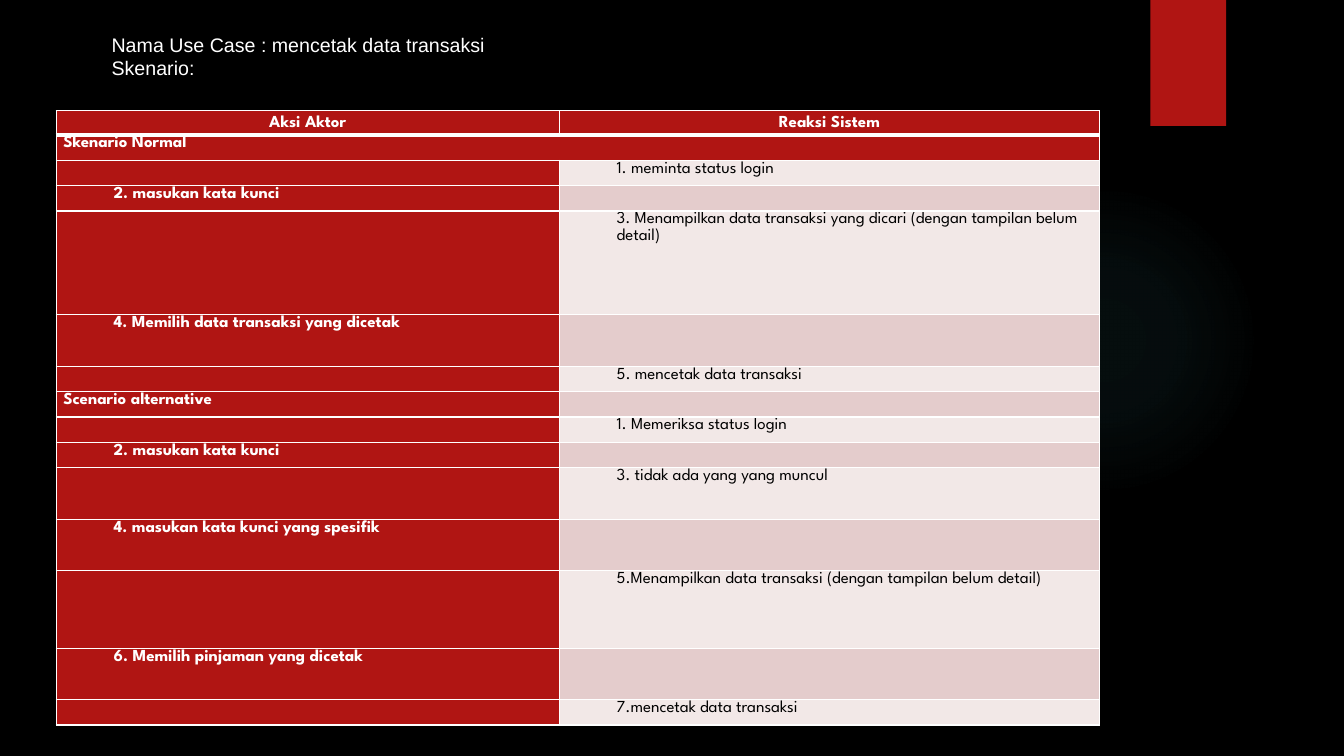
from dataclasses import dataclass

from lxml.etree import SubElement
from pptx import Presentation
from pptx.dml.color import RGBColor
from pptx.enum.shapes import MSO_SHAPE
from pptx.enum.text import MSO_ANCHOR, PP_ALIGN
from pptx.oxml import parse_xml
from pptx.oxml.ns import nsdecls, qn
from pptx.util import Pt


@dataclass(frozen=True)
class Theme:
    background: str = "000000"
    accent: str = "B01513"
    glow: str = "50B9C1"
    light: str = "FFFFFF"
    dark: str = "000000"
    band_odd: str = "E4CCCC"
    band_even: str = "F2E8E7"
    title_font: str = "Arial"
    table_font: str = "League Spartan"
    title_size: int = 14
    table_size: int = 12


def rgb(value):
    return RGBColor.from_string(value)


def apply(target, values):
    for name, value in values.items():
        setattr(target, name, value)


class UseCaseSlide:
    def __init__(self, deck, theme):
        self.theme = theme
        self.slide = deck.slides.add_slide(deck.slide_layouts[5])
        fill = self.slide.background.fill
        fill.solid()
        fill.fore_color.rgb = rgb(theme.background)

    def style_font(self, font, color, **values):
        apply(font, values)
        font.color.rgb = rgb(color)

    def title(self, text, left, top, width, height):
        heading = self.slide.shapes.title
        apply(heading, dict(left=Pt(left), top=Pt(top), width=Pt(width), height=Pt(height)))
        frame = heading.text_frame
        apply(frame, dict(text=text, word_wrap=False, vertical_anchor=MSO_ANCHOR.TOP))
        line = frame.paragraphs[0]
        line.alignment = PP_ALIGN.LEFT
        for run in line.runs:
            self.style_font(run.font, self.theme.light, name=self.theme.title_font,
                            size=Pt(self.theme.title_size), bold=False)

    def shape(self, kind, left, top, width, height, color):
        item = self.slide.shapes.add_shape(kind, Pt(left), Pt(top), Pt(width), Pt(height))
        item.shadow.inherit = False
        item.fill.solid()
        item.fill.fore_color.rgb = rgb(color)
        item.line.fill.background()
        return item

    def glow(self, left, top, size, stops):
        circle = self.shape(MSO_SHAPE.OVAL, left, top, size, size, self.theme.glow)
        marks = "".join(
            f'<a:gs pos="{pos * 1000}"><a:srgbClr val="{self.theme.glow}">'
            f'<a:alpha val="{alpha * 1000}"/></a:srgbClr></a:gs>' for pos, alpha in stops)
        gradient = parse_xml(
            f'<a:gradFill {nsdecls("a")} rotWithShape="1"><a:gsLst>{marks}</a:gsLst>'
            '<a:path path="circle"><a:fillToRect l="50000" t="50000" r="50000" b="50000"/>'
            '</a:path></a:gradFill>')
        properties = circle.fill._xPr
        properties.replace(properties.find(qn("a:solidFill")), gradient)

    def borders(self, cell, **widths):
        properties = cell._tc.get_or_add_tcPr()
        for place, side in enumerate("LRTB"):
            properties.insert(place, parse_xml(
                f'<a:ln{side} {nsdecls("a")} w="{Pt(widths.get(side, 1))}"><a:solidFill>'
                f'<a:srgbClr val="{self.theme.light}"/></a:solidFill></a:ln{side}>'))

    def cell(self, cell, text, fill, color, bold, indent=0, header=False):
        apply(cell, dict(margin_left=Pt(5), margin_right=Pt(5), margin_top=0, margin_bottom=0))
        cell.fill.solid()
        cell.fill.fore_color.rgb = rgb(fill)
        line = cell.text_frame.paragraphs[0]
        apply(line, dict(alignment=PP_ALIGN.CENTER if header else PP_ALIGN.LEFT,
                         line_spacing=Pt(14.7) if header else 1.07))
        if text:
            line._p.get_or_add_pPr().set("marL", str(Pt(indent)))
            run = line.add_run()
            run.text = text
            self.style_font(run.font, color, name=self.theme.table_font,
                            size=Pt(self.theme.table_size), bold=bold)
        else:
            # Keeps short rows from growing to the default type size
            SubElement(line._p, qn("a:endParaRPr"), sz=str(self.theme.table_size * 100))

    def scenario_table(self, left, top, widths, rows):
        theme = self.theme
        table = self.slide.shapes.add_table(
            len(rows), len(widths), Pt(left), Pt(top), Pt(sum(widths)),
            Pt(sum(height for height, *_ in rows))).table
        for column, width in zip(table.columns, widths):
            column.width = Pt(width)
        for index, (height, actor, system) in enumerate(rows):
            table.rows[index].height = Pt(height)
            header = index == 0
            band = theme.band_odd if index % 2 else theme.band_even
            indent = 36 if actor[:1].isdigit() else 0
            actor_cell, system_cell = table.cell(index, 0), table.cell(index, 1)
            self.cell(actor_cell, actor, theme.accent, theme.light, True, indent, header)
            if header:
                self.cell(system_cell, system, theme.accent, theme.light, True, header=True)
            else:
                self.cell(system_cell, system, band, theme.dark, False, 36)
            for cell in (actor_cell, system_cell):
                self.borders(cell, B=3 if header else 1, T=3 if index == 1 else 1)
        # The normal scenario heading spans both columns
        table.cell(1, 0).merge(table.cell(1, 1))


ONE, TWO, THREE, FOUR = 18.1, 36.8, 55.4, 74.2
SCENARIO = [
    (17.5, "Aksi Aktor", "Reaksi Sistem"),
    (ONE, "Skenario Normal", ""),
    (ONE, "", "1. meminta status login"),
    (ONE, "2. masukan kata kunci", ""),
    (FOUR, "", "3. Menampilkan data transaksi yang dicari (dengan tampilan belum detail)"),
    (TWO, "4. Memilih data transaksi yang dicetak", ""),
    (ONE, "", "5. mencetak data transaksi"),
    (ONE, "Scenario alternative", ""),
    (ONE, "", "1. Memeriksa status login"),
    (ONE, "2. masukan kata kunci", ""),
    (TWO, "", "3. tidak ada yang yang muncul"),
    (TWO, "4. masukan kata kunci yang spesifik", ""),
    (THREE, "", "5.Menampilkan data transaksi (dengan tampilan belum detail)"),
    (TWO, "6. Memilih pinjaman yang dicetak", ""),
    (ONE, "", "7.mencetak data transaksi"),
]


def main():
    deck = Presentation()
    apply(deck, dict(slide_width=Pt(960), slide_height=Pt(540)))
    theme = Theme()
    page = UseCaseSlide(deck, theme)

    # Backdrop
    page.glow(677.5, 131.8, 221.8, [(0, 7), (36, 6), (69, 0)])
    page.shape(MSO_SHAPE.RECTANGLE, 821.8, 0, 54, 90, theme.accent)

    # Use case heading and scenario steps
    page.title("Nama Use Case : mencetak data transaksi\vSkenario:", 72.5, 19.8, 282, 63)
    page.scenario_table(40.2, 79, [359.3, 385.9], SCENARIO)

    deck.save("out.pptx")


if __name__ == "__main__":
    main()
